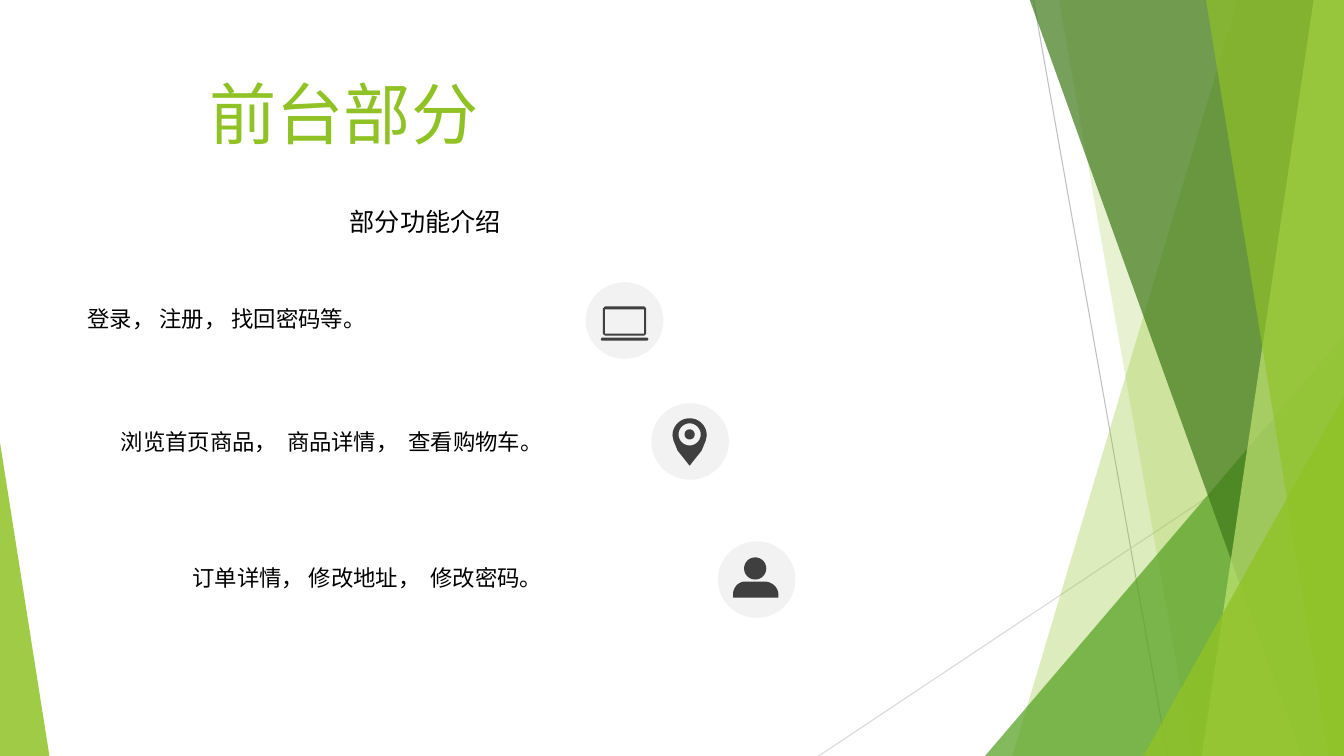
from math import cos, radians, sin

from lxml.etree import SubElement
from pptx import Presentation
from pptx.dml.color import RGBColor
from pptx.enum.shapes import MSO_CONNECTOR as Connector, MSO_SHAPE as Preset
from pptx.enum.text import MSO_ANCHOR as Anchor, MSO_AUTO_SIZE as AutoSize
from pptx.oxml.ns import qn
from pptx.util import Pt

PX = 9144
WIDTH, HEIGHT = 1333, 750
COLORS = {
    "lime": "90C226", "green": "54A021", "forest": "3F7819", "pale": "C0E474",
    "steep_line": "BFBFBF", "flat_line": "D9D9D9",
    "disc": "F2F2F2", "icon": "3F3F3F", "text": "000000",
}


def rgb(color):
    return RGBColor.from_string(COLORS[color])


def paint(shape, color, opacity=100):
    shape.shadow.inherit = False
    shape.line.fill.background()
    shape.fill.solid()
    shape.fill.fore_color.rgb = rgb(color)
    if opacity < 100:
        swatch = shape.fill._xPr.find(".//" + qn("a:srgbClr"))
        SubElement(swatch, qn("a:alpha"), val=str(opacity * 1000))


def add_outline(slide, contours, color, opacity=100):
    scaled = [[(x * PX, y * PX) for x, y in contour] for contour in contours]
    builder = slide.shapes.build_freeform(*scaled[0][0], scale=1)
    builder.add_line_segments(scaled[0][1:], close=True)
    for contour in scaled[1:]:
        builder.move_to(*contour[0])
        builder.add_line_segments(contour[1:], close=True)
    paint(builder.convert_to_shape(), color, opacity)


def add_facet(slide, top_left, bottom_left, color, opacity):
    corners = [(top_left, -1), (WIDTH, -1), (WIDTH, HEIGHT), (bottom_left, HEIGHT)]
    add_outline(slide, [corners], color, opacity)


def add_corner(slide, left, top, right, apex, color, opacity):
    box = [n * PX for n in (left, top, right - left, HEIGHT - top)]
    corner = slide.shapes.add_shape(Preset.ISOSCELES_TRIANGLE, *box)
    corner.adjustments[0] = apex
    paint(corner, color, opacity)


def add_hairline(slide, start, end, color):
    ends = [n * PX for n in start + end]
    hairline = slide.shapes.add_connector(Connector.STRAIGHT, *ends)
    hairline.line.color.rgb = rgb(color)
    hairline.line.width = Pt(0.75)
    SubElement(hairline._element.spPr, qn("a:effectLst"))


def add_text(slide, box, words, size, font, color="text", inset=5,
             indent=0, spacing=None, grow=True):
    frame = slide.shapes.add_textbox(*[n * PX for n in box]).text_frame
    frame.word_wrap = True
    frame.vertical_anchor = Anchor.TOP
    frame.auto_size = AutoSize.SHAPE_TO_FIT_TEXT if grow else AutoSize.NONE
    frame.margin_left = frame.margin_right = 10 * PX
    frame.margin_top = frame.margin_bottom = inset * PX
    paragraph = frame.paragraphs[0]
    if indent:
        paragraph._p.get_or_add_pPr().set("marL", str(indent * PX))
    if spacing:
        paragraph.line_spacing = spacing
    run = paragraph.add_run()
    run.text = words
    run.font.size = Pt(size)
    run.font.color.rgb = rgb(color)
    run.font.name = font
    SubElement(run.font._element, qn("a:ea"), typeface=font)


def arc(cx, cy, rx, ry, start=0, end=360, steps=32):
    angles = [radians(start + (end - start) * i / steps) for i in range(steps + 1)]
    return [(cx + rx * cos(a), cy + ry * sin(a)) for a in angles]


def panel(left, top, right, bottom, cut=0):
    return [(left + cut, top), (right - cut, top), (right, top + cut),
            (right, bottom - cut), (right - cut, bottom), (left + cut, bottom),
            (left, bottom - cut), (left, top + cut)]


def laptop():
    return [panel(596, 335, 643, 338, 1), panel(598, 304, 641, 333, 2),
            panel(600, 307, 639, 331)]


def map_pin():
    tip = [(700, 437), (696, 447), (684, 462), (672, 447), (668, 437)]
    return [arc(684, 432, 17, 17, 180, 360) + tip,
            arc(684, 431, 11, 11), arc(684, 431, 5, 5)]


def person():
    shoulders = arc(739, 590, 12, 13, 180, 270) + arc(758, 590, 14, 13, 270, 360)
    return [shoulders + [(772, 593), (727, 593)], arc(749, 564, 11, 11)]


def add_backdrop(slide):
    add_hairline(slide, (1025, 0), (1158, HEIGHT), "steep_line")
    add_hairline(slide, (WIDTH, 403), (812, HEIGHT), "flat_line")
    add_facet(slide, 1228, 1004, "lime", 30)
    add_facet(slide, 1050, 1183, "lime", 20)
    add_corner(slide, 977, 333, WIDTH, 1, "green", 72)
    add_facet(slide, 1021, 1291, "forest", 70)
    add_facet(slide, 1303, 1192, "pale", 70)
    add_facet(slide, 1196, 1318, "lime", 65)
    add_corner(slide, 1134, 393, WIDTH, 1, "lime", 80)
    add_corner(slide, 0, 439, 49, 0, "lime", 85)


def add_feature(slide, disc_at, icon, text_at, words):
    disc_box = [n * PX for n in disc_at + (77, 76)]
    paint(slide.shapes.add_shape(Preset.OVAL, *disc_box), "disc")
    add_outline(slide, icon, "icon")
    add_text(slide, text_at + (486, 42), words, 16, "Noto Sans CJK SC",
             inset=0, spacing=1.3)


def main():
    deck = Presentation()
    deck.slide_width, deck.slide_height = WIDTH * PX, HEIGHT * PX
    slide = deck.slides.add_slide(deck.slide_layouts[6])
    add_backdrop(slide)
    add_text(slide, (74, 67, 940, 144), "前台部分", 48, "Lato", "lime",
             indent=124, grow=False)
    features = [
        ((581, 280), laptop(), (77, 295), "登录， 注册， 找回密码等。"),
        ((646, 400), map_pin(), (110, 417), "浏览首页商品，  商品详情，  查看购物车。"),
        ((712, 537), person(), (181, 552), "订单详情， 修改地址，  修改密码。"),
    ]
    for feature in features:
        add_feature(slide, *feature)
    add_text(slide, (337, 200, 330, 42), "部分功能介绍", 18, "Lato")
    deck.save("out.pptx")


if __name__ == "__main__":
    main()
